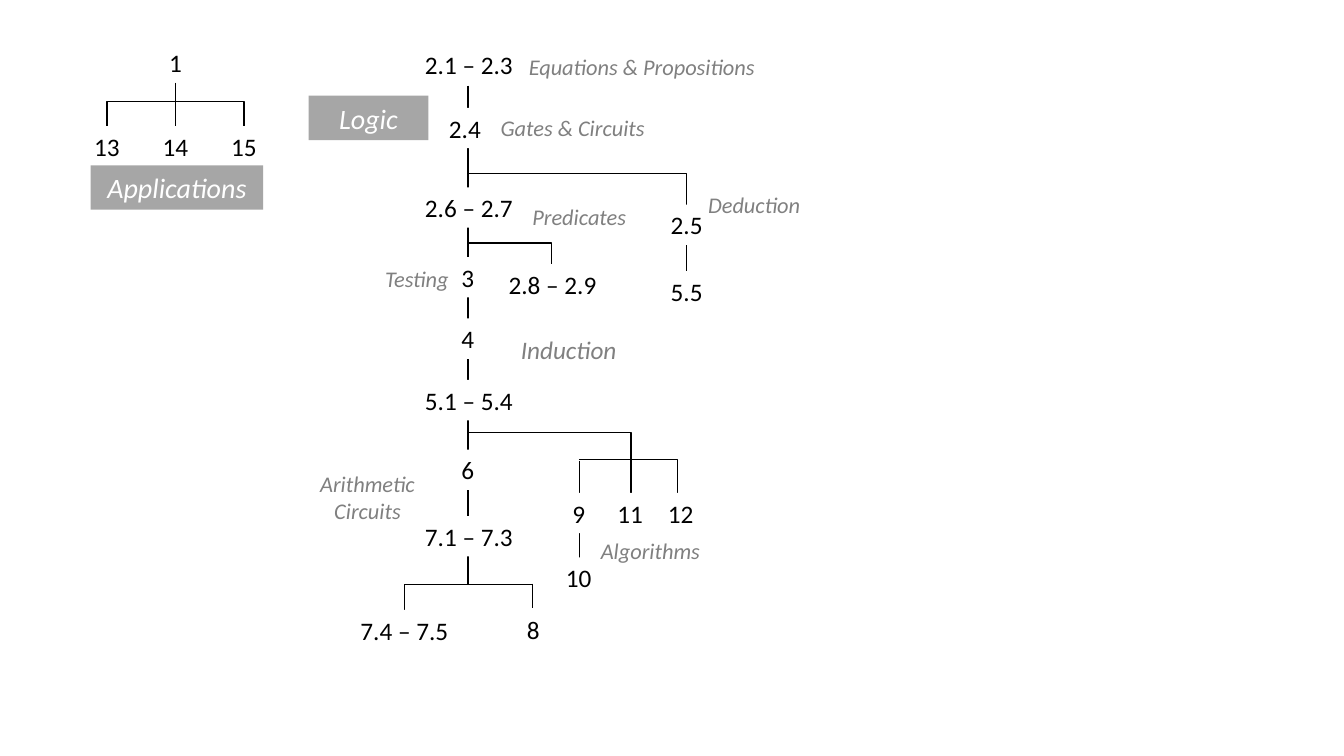
from pptx import Presentation
from pptx.dml.color import RGBColor
from pptx.enum.shapes import MSO_CONNECTOR, MSO_SHAPE
from pptx.enum.text import MSO_ANCHOR, MSO_AUTO_SIZE, PP_ALIGN
from pptx.oxml.ns import qn
from pptx.util import Inches, Pt
from lxml.etree import SubElement

COLORS = {"ink": "000000", "note": "808080", "band": "A6A6A6", "white": "FFFFFF"}
TRUNK = 4.64
APPS = 1.74
STEP = 0.68
ONE = 0.48

# name: fill, font colour, italic
STYLES = {
    "node": ("white", "ink", False),
    "app": (None, "ink", False),
    "note": (None, "note", True),
    "tag": ("band", "white", True),
}

LINES = [
    (APPS, 0.82, APPS, 1.25),
    (TRUNK, 0.85, TRUNK, 5.8),
    (5.75, 4.57, 5.75, 5.73),
    (5.28, 5.79, 5.28, 6.03),
]

BENDS = [
    (APPS, 1.01, APPS - STEP, 1.25),
    (APPS, 1.01, APPS + STEP, 1.25),
    (TRUNK, 1.72, 6.81, 2.69),
    (TRUNK, 2.41, 5.47, 2.65),
    (TRUNK, 4.29, 6.26, 5.07),
    (5.74, 4.56, 6.72, 4.98),
    (5.28, 5.8, 4.01, 6.08),
]

NODES = [
    ("2.1 – 2.3", 4.65, 0.44, 1.2),
    ("2.4", 4.61, 1.07, 0.58),
    ("2.6 – 2.7", 4.65, 1.86, 1.16),
    ("3", TRUNK, 2.55, ONE),
    ("4", TRUNK, 3.16, ONE),
    ("5.1 – 5.4", 4.65, 3.77, 1.26),
    ("6", TRUNK, 4.46, ONE),
    ("7.1 – 7.3", 4.65, 5.12, 1.11),
    ("7.4 – 7.5", 4.01, 6.05, 1.11),
    ("8", 5.29, 6.04, ONE),
    ("9", 5.74, 4.89, ONE),
    ("10", 5.74, 5.53, ONE),
    ("11", 6.25, 4.89, ONE),
    ("12", 6.75, 4.89, ONE),
    ("2.5", 6.81, 2.03, 0.85),
    ("5.5", 6.81, 2.69, 0.61),
    ("2.8 – 2.9", 5.48, 2.62, 1.16),
]

APP_NODES = [("1", APPS, 0.42, ONE)] + [
    (text, APPS + STEP * i, 1.25, ONE) for text, i in (("13", -1), ("14", 0), ("15", 1))
]

TAGS = [("Logic", 3.06, 0.95, 1.19), ("Applications", 0.9, 1.64, 1.71)]

NOTES = [
    ("Equations & Propositions", 5.12, 0.48, 2.49, 0.37, 16),
    ("Gates & Circuits", 4.83, 1.08, 1.7, 0.37, 16),
    ("Deduction", 6.87, 1.84, 1.22, 0.37, 16),
    ("Predicates", 5.17, 1.96, 1.15, 0.37, 16),
    ("Testing", 3.65, 2.58, 0.97, 0.37, 16),
    ("Induction", 5.03, 3.27, 1.22, 0.4, 18),
    ("Arithmetic Circuits", 2.79, 4.61, 1.71, 0.64, 16),
    ("Algorithms", 5.84, 5.28, 1.22, 0.37, 16),
]


def color(name):
    return RGBColor.from_string(COLORS[name])


def link(slide, ends, kind):
    line = slide.shapes.add_connector(kind, *map(Inches, ends))
    line.line.color.rgb = color("ink")
    line.line.width = Pt(1)
    props = line.element.spPr
    SubElement(props, qn("a:effectLst"))
    if kind == MSO_CONNECTOR.ELBOW:
        props.find(qn("a:prstGeom")).set("prst", "bentConnector2")


def label(slide, style, text, left, top, width, height, size):
    fill, ink, slant = STYLES[style]
    area = [Inches(v) for v in (left, top, width, height)]
    if fill:
        box = slide.shapes.add_shape(MSO_SHAPE.RECTANGLE, *area)
        box.shadow.inherit = False
        box.fill.solid()
        box.fill.fore_color.rgb = color(fill)
        box.line.fill.background()
    else:
        box = slide.shapes.add_textbox(*area)
    frame = box.text_frame
    frame.text = text
    frame.word_wrap = True
    frame.auto_size = MSO_AUTO_SIZE.SHAPE_TO_FIT_TEXT
    frame.vertical_anchor = MSO_ANCHOR.MIDDLE
    para = frame.paragraphs[0]
    para.alignment = PP_ALIGN.CENTER
    font = para.runs[0].font
    font.name = "Calibri"
    font.size = Pt(size)
    font.italic = slant
    font.color.rgb = color(ink)


def main():
    deck = Presentation()
    deck.slide_width, deck.slide_height = Inches(13.33), Inches(7.5)
    slide = deck.slides.add_slide(deck.slide_layouts[6])
    for kind, group in ((MSO_CONNECTOR.STRAIGHT, LINES), (MSO_CONNECTOR.ELBOW, BENDS)):
        for ends in group:
            link(slide, ends, kind)
    for text, left, top, width in TAGS:
        label(slide, "tag", text, left, top, width, 0.44, 20)
    for style, group in (("node", NODES), ("app", APP_NODES)):
        for text, mid, top, width in group:
            label(slide, style, text, mid - width / 2, top, width, 0.4, 18)
    for note in NOTES:
        label(slide, "note", *note)
    deck.save("out.pptx")


if __name__ == "__main__":
    main()
